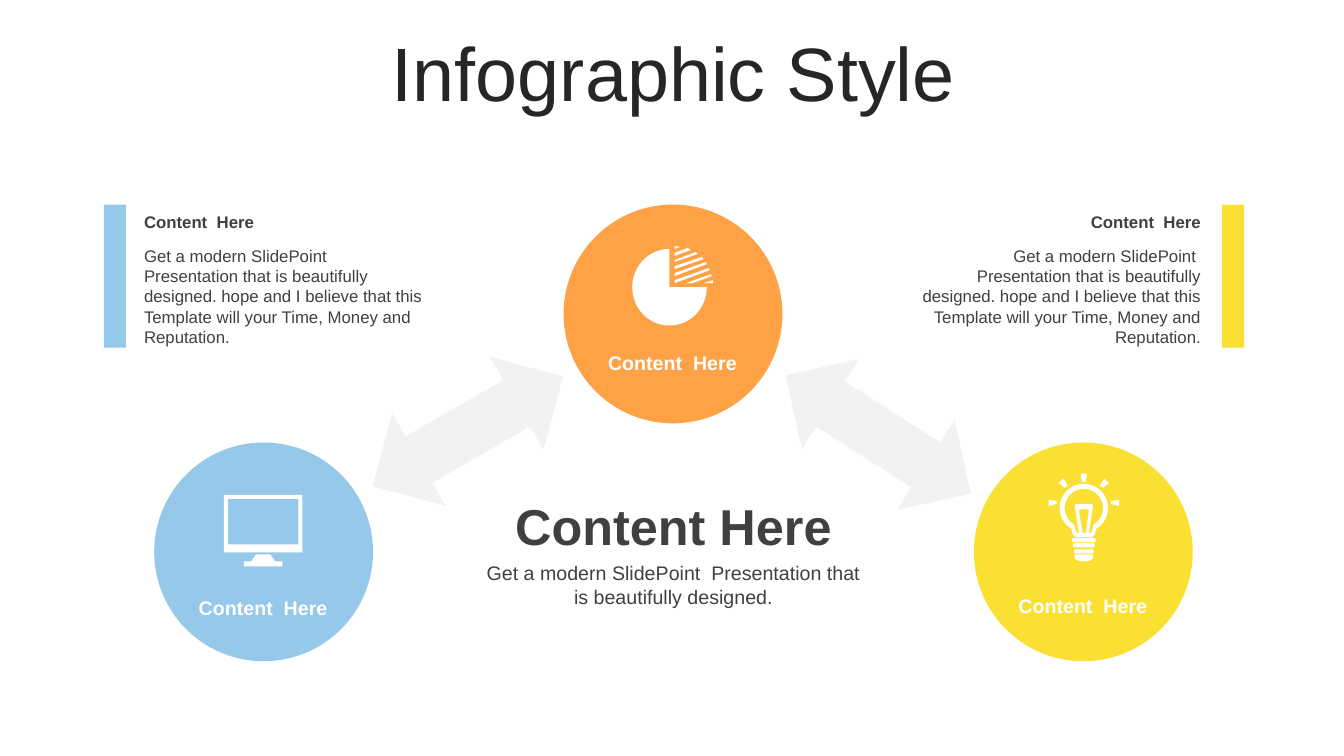
"""Build an infographic slide with three linked circles and their captions."""
import math

import pptx
import pptx.dml.color
import pptx.enum.shapes
import pptx.enum.text
import pptx.util

Inches = pptx.util.Inches
RGBColor = pptx.dml.color.RGBColor
Kind = pptx.enum.shapes.MSO_SHAPE
Align = pptx.enum.text.PP_ALIGN
Anchor = pptx.enum.text.MSO_ANCHOR

ORANGE = RGBColor(0xFF, 0xA2, 0x46)
YELLOW = RGBColor(0xFB, 0xE0, 0x34)
BLUE = RGBColor(0x96, 0xC8, 0xE9)
PALE = RGBColor(0xF2, 0xF2, 0xF2)
WHITE = RGBColor(0xFF, 0xFF, 0xFF)
GREY = RGBColor(0x40, 0x40, 0x40)
DARK = RGBColor(0x26, 0x26, 0x26)

LABEL = "Content  Here"
BRIEF = "Get a modern SlidePoint  Presentation that is beautifully designed."
DETAIL = BRIEF + (" hope and I believe that this Template will your Time, "
                  "Money and Reputation.")


def place(shape, box):
    for name, val in zip(("left", "top", "width", "height"), box):
        setattr(shape, name, Inches(val))


def paint(shape, color):
    shape.shadow.inherit = False
    shape.fill.solid()
    shape.fill.fore_color.rgb = color
    shape.line.fill.background()


def write(shape, text, size, color, align, bold=False, anchor=Anchor.MIDDLE):
    frame = shape.text_frame
    para = frame.paragraphs[0]
    para.text = text
    formats = (
        (frame, {"word_wrap": True, "vertical_anchor": anchor,
                 "auto_size": pptx.enum.text.MSO_AUTO_SIZE.NONE}),
        (para, {"alignment": align}),
        (para.font, {"name": "Arial", "size": pptx.util.Pt(size), "bold": bold}),
    )
    for target, values in formats:
        for name, val in values.items():
            setattr(target, name, val)
    para.font.color.rgb = color


def add_text(slide, box, *args, **kwargs):
    shape = slide.shapes.add_textbox(*map(Inches, box))
    write(shape, *args, **kwargs)


def add_form(slide, kind, box, color, turn=0):
    shape = slide.shapes.add_shape(kind, *map(Inches, box))
    shape.rotation = turn
    paint(shape, color)


def add_icon(slide, loops):
    pen = None
    for loop in loops:
        first, *rest = [(Inches(x), Inches(y)) for x, y in loop]
        if pen is None:
            pen = slide.shapes.build_freeform(*first, scale=1.0)
        else:
            pen.move_to(*first)
        pen.add_line_segments(rest, close=True)
    paint(pen.convert_to_shape(), WHITE)


def arc(x, y, wide, high, start, end, steps=40):
    angles = [math.radians(start + (end - start) * i / steps)
              for i in range(steps + 1)]
    return [(x + wide * math.cos(a), y + high * math.sin(a)) for a in angles]


def block(left, top, right, base):
    return [(left, top), (right, top), (right, base), (left, base)]


def add_pie(slide):
    disc = [(6.64, 2.85)] + arc(6.64, 2.85, 0.37, 0.38, 0, 270)
    stripes = [
        [(6.69, 2.44), (6.75, 2.45), (6.69, 2.47)],
        [(6.82, 2.46), (6.85, 2.48), (6.69, 2.54), (6.69, 2.51)],
        [(6.9, 2.5), (6.92, 2.52), (6.69, 2.6), (6.69, 2.58)],
        [(6.96, 2.55), (6.98, 2.57), (6.69, 2.67), (6.69, 2.64)],
        [(7, 2.6), (7.01, 2.62), (6.69, 2.74), (6.69, 2.71)],
        [(7.03, 2.66), (7.04, 2.68), (6.69, 2.81), (6.69, 2.78)],
        [(7.05, 2.72), (7.06, 2.74), (6.87, 2.81), (6.8, 2.81)],
        [(7.07, 2.78), (7.07, 2.81), (6.98, 2.81)],
    ]
    add_icon(slide, [disc] + stripes)


def add_screen(slide):
    stand = [(2.54, 5.5), (2.68, 5.5), (2.73, 5.57), (2.8, 5.57),
             (2.8, 5.62), (2.42, 5.62), (2.42, 5.57), (2.49, 5.57)]
    add_icon(slide, [block(2.22, 4.91, 3, 5.48),
                     block(2.26, 4.95, 2.96, 5.4), stand])


def add_bulb(slide):
    mid = 10.75
    glass = arc(mid, 5.04, 0.24, 0.24, 121, 419) + [
        (10.86, 5.3), (10.83, 5.33), (10.67, 5.33), (10.64, 5.3)]
    hollow = arc(mid, 5.04, 0.19, 0.19, 121, 419) + [
        (10.83, 5.27), (10.81, 5.29), (10.8, 5.29), (10.84, 5.02),
        (10.83, 5), (10.67, 5), (10.66, 5.02), (10.7, 5.29),
        (10.69, 5.29), (10.67, 5.27)]
    wire = [(10.73, 5.05), (10.7, 5.06), (10.74, 5.29), (10.77, 5.29),
            (10.8, 5.06), (10.77, 5.05)]
    rings = [arc(mid + half, y, 0.02, 0.02, -90, 90, 8)
             + arc(mid - half, y, 0.02, 0.02, 90, 270, 8)
             for half, y in ((0.1, 5.36), (0.09, 5.41), (0.08, 5.47))]
    cap = [(10.66, 5.5), (10.84, 5.5)] + arc(mid, 5.53, 0.09, 0.04, 0, 180)
    rays = [[(11.1, 4.96), (11.1, 5.02), (11.02, 5), (11.02, 4.97)],
            [(10.95, 4.75), (11, 4.79), (10.94, 4.84), (10.91, 4.82)]]
    twins = [[(2 * mid - x, y) for x, y in ray] for ray in rays]
    peak = [(10.72, 4.7), (10.78, 4.7), (10.77, 4.78), (10.73, 4.78)]
    add_icon(slide, [glass, hollow, wire, cap, peak] + rings + rays + twins)


def add_note(slide, left, bar, color, align):
    add_text(slide, (left, 2.05, 3.01, 0.3), LABEL, 12, GREY, align, bold=True)
    add_text(slide, (left, 2.39, 3.01, 1.11), DETAIL, 12, GREY, align,
             anchor=Anchor.TOP)
    add_form(slide, Kind.RECTANGLE, (bar, 2.03, 0.22, 1.42), color)


def main():
    deck = pptx.Presentation()
    deck.slide_width, deck.slide_height = Inches(13.33), Inches(7.5)
    slide = deck.slides.add_slide(deck.slide_layouts[5])
    title = slide.shapes.title
    place(title, (0.35, 0.37, 12.66, 0.79))
    write(title, "Infographic Style", 54, DARK, Align.CENTER)
    title.text_frame.paragraphs[0].line_spacing = 0.9

    for left, top, turn in ((3.55, 3.75, 330), (7.62, 3.78, 32.6)):
        add_form(slide, Kind.LEFT_RIGHT_ARROW, (left, top, 2.18, 1.06), PALE, turn)
    for left, top, color, line in ((5.59, 2.03, ORANGE, 3.43),
                                   (1.53, 4.39, BLUE, 5.86),
                                   (9.66, 4.39, YELLOW, 5.84)):
        add_form(slide, Kind.OVAL, (left, top, 2.17, 2.17), color)
        add_text(slide, (left + 0.26, line, 1.64, 0.34), LABEL, 14, WHITE,
                 Align.CENTER, bold=True)
    add_pie(slide)
    add_screen(slide)
    add_bulb(slide)

    add_text(slide, (4.71, 4.86, 3.94, 0.71), "Content Here", 36, GREY,
             Align.CENTER, bold=True)
    add_text(slide, (4.71, 5.52, 3.94, 0.57), BRIEF, 14, GREY, Align.CENTER,
             anchor=Anchor.TOP)
    add_note(slide, 1.33, 1.03, BLUE, Align.LEFT)
    add_note(slide, 9, 12.12, YELLOW, Align.RIGHT)
    deck.save("out.pptx")


if __name__ == "__main__":
    main()
